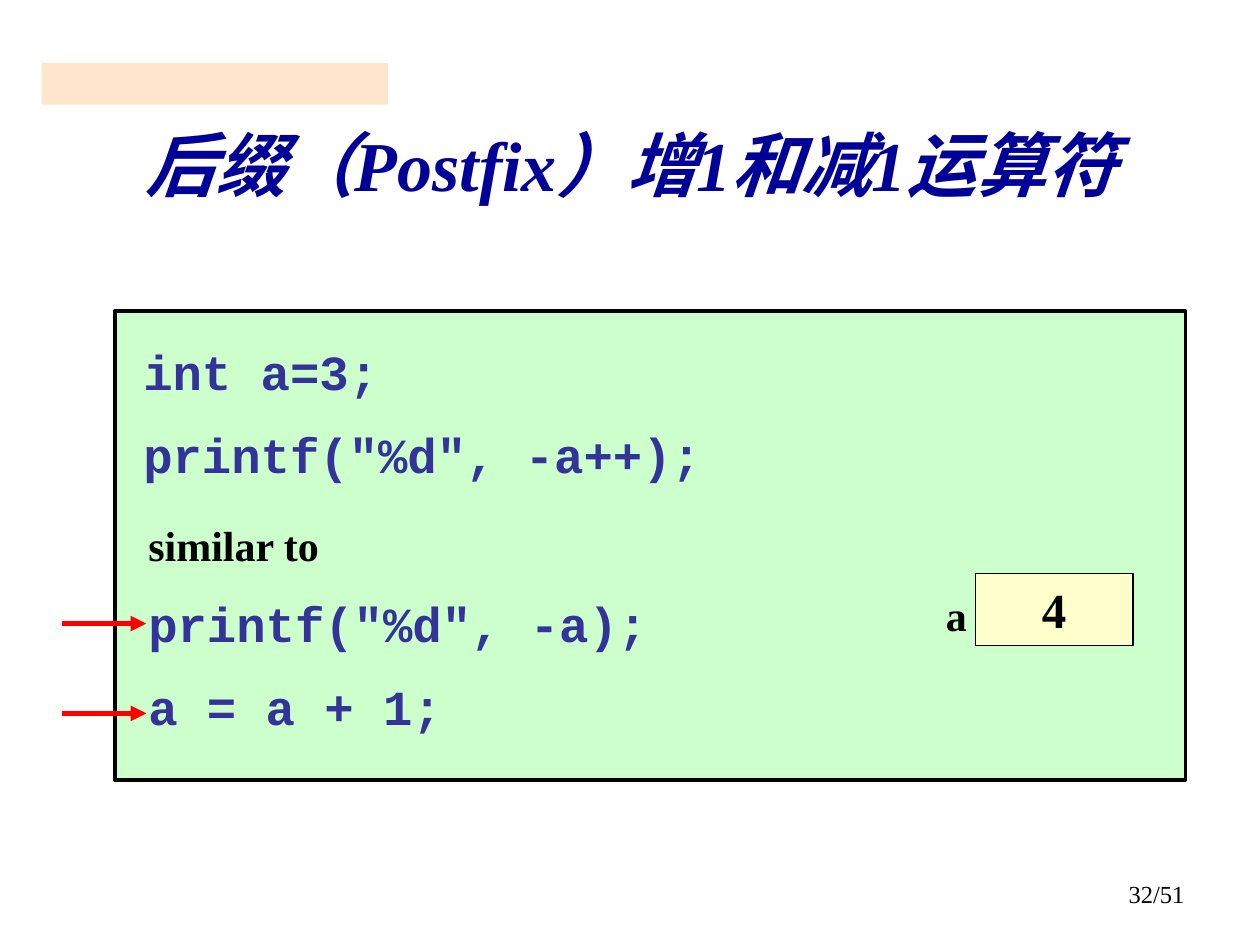
from lxml import etree
from pptx import Presentation
from pptx.dml.color import RGBColor
from pptx.enum.shapes import MSO_CONNECTOR, MSO_SHAPE
from pptx.enum.text import MSO_ANCHOR, MSO_AUTO_SIZE, PP_ALIGN
from pptx.oxml import parse_xml
from pptx.oxml.ns import nsdecls, qn
from pptx.util import Cm, Pt

RECT = MSO_SHAPE.RECTANGLE
LINE = MSO_CONNECTOR.STRAIGHT
TOP, MID, LOW = MSO_ANCHOR.TOP, MSO_ANCHOR.MIDDLE, MSO_ANCHOR.BOTTOM
LEFT, MIDST, RIGHT = PP_ALIGN.LEFT, PP_ALIGN.CENTER, PP_ALIGN.RIGHT

THEME = {
    "serif": "Times New Roman", "mono": "Courier New",
    "ink": "000000", "title": "000099", "code": "333399", "arrow": "FF0000",
    "panel": "CCFFCC", "cell": "FFFFCC", "bar": "FFCC99",
    "head": 40, "big": 28, "text": 24, "page": 14,
}

TITLE = ["后缀（", "Postfix", "）增", "1", "和减", "1", "运算符"]
CODE = ["int a=3;", 'printf("%d", -a++);']
NOTE = "similar to"
STEPS = ['printf("%d", -a);', "a = a + 1;"]
NAME, VALUE = "a", "4"
PAGE = "32/51"

BAR = (0.84, 1.27, 6.98, 0.84)
HEAD = (1.88, 1.93, 21.67, 2.34)
PANEL = (2.31, 6.27, 21.59, 9.45)
SAME = (2.74, 10.34, 13.54, 4.65)
LABEL = (18.82, 11.76, 2.34, 1.27)
CELL = (19.66, 11.56, 3.18, 1.45)
FOOT = (18.21, 17.6, 5.92, 1.32)
ARROWS = {"left": 1.24, "right": 2.95, "top": 12.57, "step": 1.81}


def tint(key):
    return RGBColor.from_string(THEME[key])


def cms(box):
    return [Cm(n) for n in box]


def block(slide, box, fill, width=0):
    shape = slide.shapes.add_shape(RECT, *cms(box))
    shape.shadow.inherit = False
    shape.fill.solid()
    shape.fill.fore_color.rgb = tint(fill)
    if width:
        shape.line.color.rgb = tint("ink")
        shape.line.width = Pt(width)
    else:
        shape.line.fill.background()
    return shape


def write(shape, rows, align=LEFT, anchor=TOP):
    frame = shape.text_frame
    frame.word_wrap = True
    frame.auto_size = MSO_AUTO_SIZE.NONE
    frame.vertical_anchor = anchor
    for i, (parts, face, size, color, bold, space, gap) in enumerate(rows):
        para = frame.paragraphs[0] if i == 0 else frame.add_paragraph()
        para.alignment = align
        para.line_spacing = space
        para.space_before = Pt(gap if i else 0)
        for part in parts:
            run = para.add_run()
            run.text = part
            font = run.font
            font.name, font.size, font.bold = THEME[face], Pt(THEME[size]), bold
            font.color.rgb = tint(color)
    return frame


def label(slide, box, rows, align=LEFT):
    return write(slide.shapes.add_textbox(*cms(box)), rows, align)


def arrow(slide, y):
    line = slide.shapes.add_connector(
        LINE, Cm(ARROWS["left"]), Cm(y), Cm(ARROWS["right"]), Cm(y))
    line.line.color.rgb = tint("arrow")
    line.line.width = Pt(3)
    etree.SubElement(line.line._get_or_add_ln(), qn("a:tailEnd"), type="triangle")
    etree.SubElement(line.element.spPr, qn("a:effectLst"))


def heading(slide):
    title = slide.shapes.title
    title.left, title.top, title.width, title.height = cms(HEAD)
    row = (TITLE, "serif", "head", "title", True, 0.85, 0)
    frame = write(title, [row], MIDST, LOW)
    for run in frame.paragraphs[0].runs:
        run.font.italic = True
        shade = parse_xml(
            f'<a:effectLst {nsdecls("a")}><a:outerShdw dist="38100" dir="2700000">'
            '<a:srgbClr val="C0C0C0"/></a:outerShdw></a:effectLst>')
        run.font._element.find(qn("a:solidFill")).addnext(shade)
    return title


def main():
    deck = Presentation()
    deck.slide_width, deck.slide_height = Cm(25.4), Cm(19.05)
    slide = deck.slides.add_slide(deck.slide_layouts[5])

    bar = block(slide, BAR, "bar")
    color = bar.element.spPr.find(qn("a:solidFill"))[0]
    etree.SubElement(color, qn("a:alpha"), val="50000")
    title = heading(slide)
    title.element.addprevious(bar.element)

    label(slide, FOOT, [([PAGE], "serif", "page", "ink", False, 1, 0)], RIGHT)

    panel = block(slide, PANEL, "panel", 2.25)
    frame = write(panel, [([row], "mono", "big", "code", True, 1.2, 7) for row in CODE])
    frame.margin_left, frame.margin_top = Cm(0.58), Cm(0.38)

    name = ([NAME], "serif", "text", "ink", True, 1, 0)
    label(slide, LABEL, [name])
    note = ([NOTE], "serif", "text", "ink", True, 1, 0)
    steps = [([row], "mono", "big", "code", True, 0.9, 17.5) for row in STEPS]
    label(slide, SAME, [note] + steps)

    for i in range(len(STEPS)):
        arrow(slide, ARROWS["top"] + i * ARROWS["step"])

    cell = block(slide, CELL, "cell", 0.75)
    write(cell, [([VALUE], "serif", "big", "ink", True, 1, 0)], MIDST, MID)
    deck.save("out.pptx")


if __name__ == "__main__":
    main()
